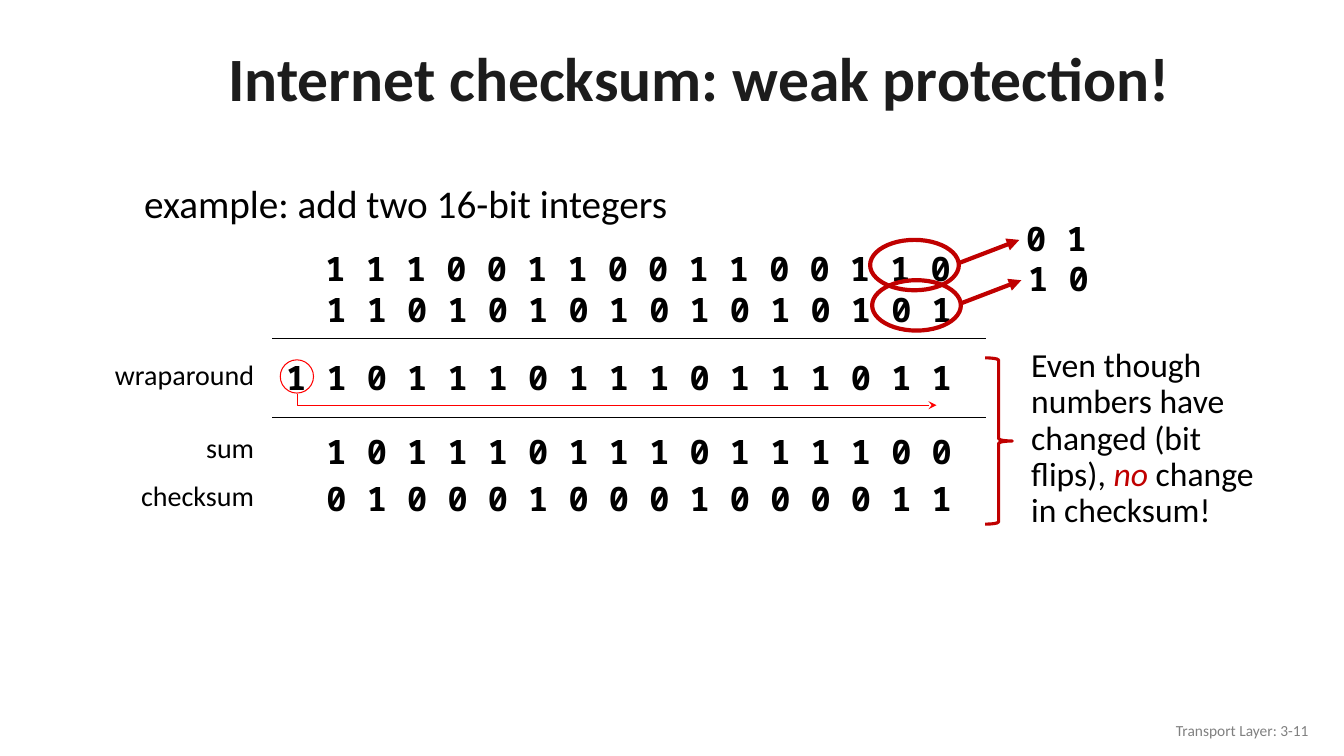
from lxml import etree
from pptx import Presentation
from pptx.dml.color import RGBColor
from pptx.enum.shapes import MSO_CONNECTOR as Connector, MSO_SHAPE as Shape
from pptx.enum.text import MSO_ANCHOR as Anchor, MSO_AUTO_SIZE as AutoSize, PP_ALIGN as Align
from pptx.oxml.ns import qn
from pptx.util import Inches, Pt

BLACK, RED, DARK_RED = "000000", "FF0000", "C00000"


def colour(value):
    return RGBColor.from_string(value)


def add_text(para, text, size=24, font="Calibri", color=BLACK, bold=False, italic=False):
    span = para.add_run()
    span.text = text
    span.font.size = Pt(size)
    span.font.name = font
    span.font.color.rgb = colour(color)
    span.font.bold = bold
    span.font.italic = italic


class SlideBuilder:
    """Holds the current page and the style of its elements."""

    mono = "Noto Sans Mono"

    def __init__(self, deck):
        self.page = deck.slides.add_slide(deck.slide_layouts[1])
        self.shapes = self.page.shapes

    def frame(self, box, anchor=Anchor.TOP, align=Align.LEFT, spacing=1.0):
        text_frame = box.text_frame
        text_frame.word_wrap = True
        text_frame.auto_size = AutoSize.NONE
        text_frame.vertical_anchor = anchor
        para = text_frame.paragraphs[0]
        para.alignment = align
        para.line_spacing = spacing
        return para

    def placeholder(self, index, left, top, width, height, **layout):
        box = self.page.placeholders[index]
        box.left, box.top = Inches(left), Inches(top)
        box.width, box.height = Inches(width), Inches(height)
        return self.frame(box, **layout)

    def title(self, text):
        para = self.placeholder(0, 0.87, 0.32, 12.14, 0.98, anchor=Anchor.MIDDLE,
                                align=Align.CENTER, spacing=0.9)
        add_text(para, text, size=44, color="1C1C1C", bold=True)

    def body(self, text):
        para = self.placeholder(1, 1.33, 1.59, 8.5, 3, spacing=1.3)
        para.space_before = Pt(10)
        props = para._p.get_or_add_pPr()
        props.set("marL", "0")
        props.set("indent", "0")
        etree.SubElement(props, qn("a:buNone"))
        add_text(para, text, size=28)

    def text(self, left, top, width, height, *spans, **layout):
        box = self.shapes.add_textbox(Inches(left), Inches(top), Inches(width), Inches(height))
        para = self.frame(box, **layout)
        for words, style in spans:
            add_text(para, words, **style)

    def bits(self, left, top, digits):
        width = 0.4 * len(digits) + 0.2
        self.text(left, top, width, 0.5, (" ".join(digits), dict(font=self.mono, bold=True)))

    def label(self, top, words):
        self.text(1.02, top, 1.6, 0.44, (words, dict(size=20)), align=Align.RIGHT)

    def outline(self, shape, color, weight):
        shape.shadow.inherit = False
        shape.fill.background()
        shape.line.color.rgb = colour(color)
        shape.line.width = Pt(weight)

    def preset(self, kind, left, top, width, height, color, weight):
        shape = self.shapes.add_shape(kind, Inches(left), Inches(top), Inches(width), Inches(height))
        self.outline(shape, color, weight)

    def arrowhead(self, shape, kind):
        etree.SubElement(shape.line._get_or_add_ln(), qn("a:tailEnd"), type=kind)

    def line(self, start, end, color=BLACK, weight=1, head=None):
        line = self.shapes.add_connector(Connector.STRAIGHT, *map(Inches, start + end))
        line.line.color.rgb = colour(color)
        line.line.width = Pt(weight)
        if head:
            self.arrowhead(line, head)
        etree.SubElement(line._element.spPr, qn("a:effectLst"))

    def bent_arrow(self, start, *points):
        builder = self.shapes.build_freeform(*map(Inches, start))
        builder.add_line_segments([tuple(map(Inches, point)) for point in points], close=False)
        arrow = builder.convert_to_shape()
        self.outline(arrow, RED, 0.75)
        self.arrowhead(arrow, "stealth")

    def bit_flip(self, left, top, digits):
        """Circles the last two bits and points to their flipped values."""
        self.preset(Shape.OVAL, left, top, 0.88, 0.5, DARK_RED, 3)
        self.line((left + 0.88, top + 0.23), (left + 1.48, top), DARK_RED, 3, "triangle")
        self.bits(left + 1.45, top - 0.27, digits)


deck = Presentation()
deck.slide_width, deck.slide_height = Inches(13.33), Inches(7.5)
slide = SlideBuilder(deck)

# Heading
slide.title("Internet checksum: weak protection!")
slide.body("example: add two 16-bit integers")

# Binary addition: the carry bit stands one column further left
for left, top, digits in (
    (3.13, 2.41, "1110011001100110"),
    (3.14, 2.82, "1101010101010101"),
    (2.74, 3.49, "11011101110111011"),
    (3.14, 4.23, "1011101110111100"),
    (3.14, 4.69, "0100010001000011"),
):
    slide.bits(left, top, digits)
for top, words in ((3.5, "wraparound"), (4.22, "sum"), (4.7, "checksum")):
    slide.label(top, words)
for top in (3.36, 4.14):
    slide.line((2.7, top), (9.78, top))

# Carry wrapped around to the last bit
slide.preset(Shape.OVAL, 2.78, 3.57, 0.33, 0.33, RED, 0.75)
slide.bent_arrow((2.95, 3.91), (2.95, 4.02), (9.29, 4.02))

# Flipped bits
slide.bit_flip(8.63, 2.38, "01")
slide.bit_flip(8.65, 2.78, "10")

# Conclusion
slide.preset(Shape.RIGHT_BRACE, 9.77, 3.55, 0.27, 1.65, DARK_RED, 2.25)
slide.text(10.13, 3.41, 2.63, 1.92,
           ("Even though numbers have changed (bit flips), ", {}),
           ("no", dict(color=DARK_RED, italic=True)),
           (" change in checksum!", {}), spacing=0.9)

# Footer
slide.text(10.08, 7.05, 3, 0.4, ("Transport Layer: 3-11", dict(size=11, color="808080")),
           anchor=Anchor.MIDDLE, align=Align.RIGHT)

deck.save("out.pptx")
